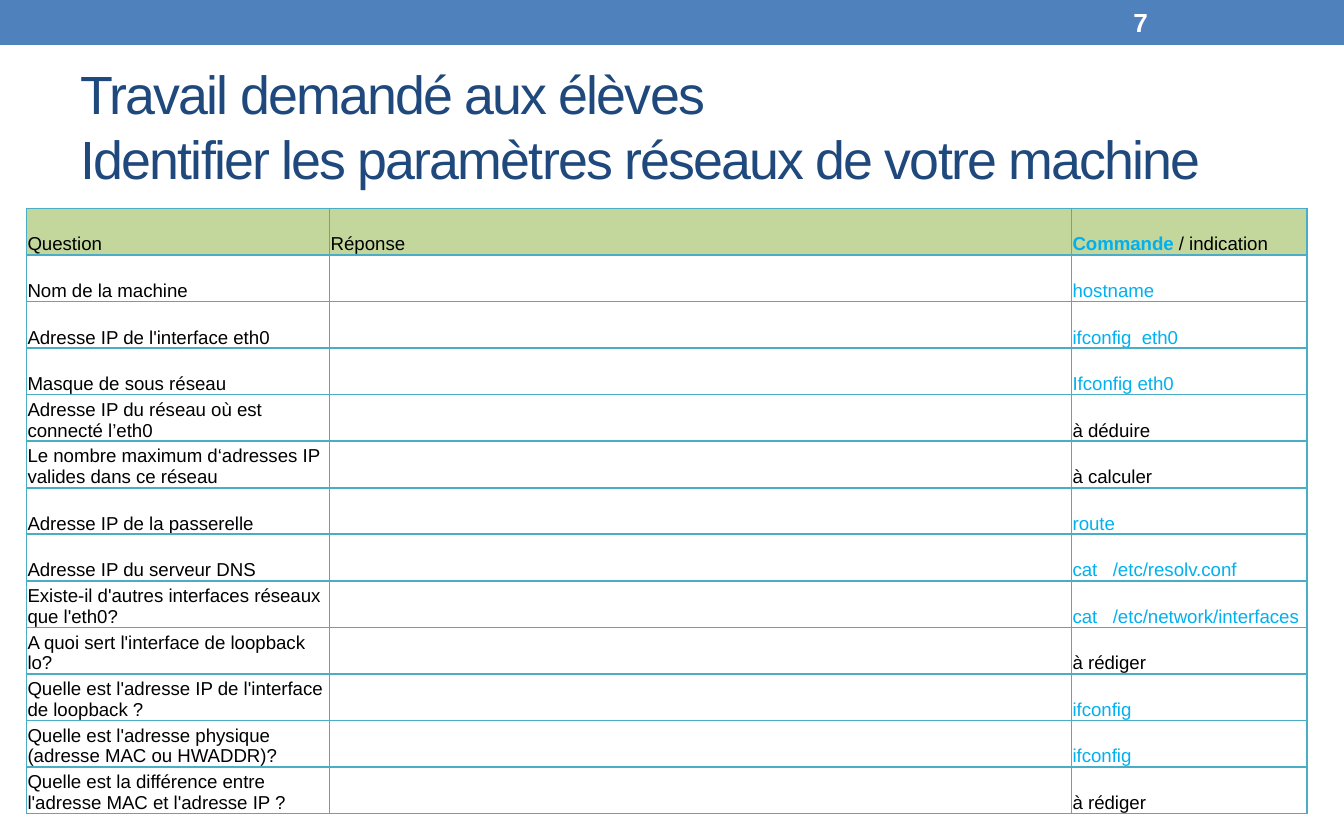
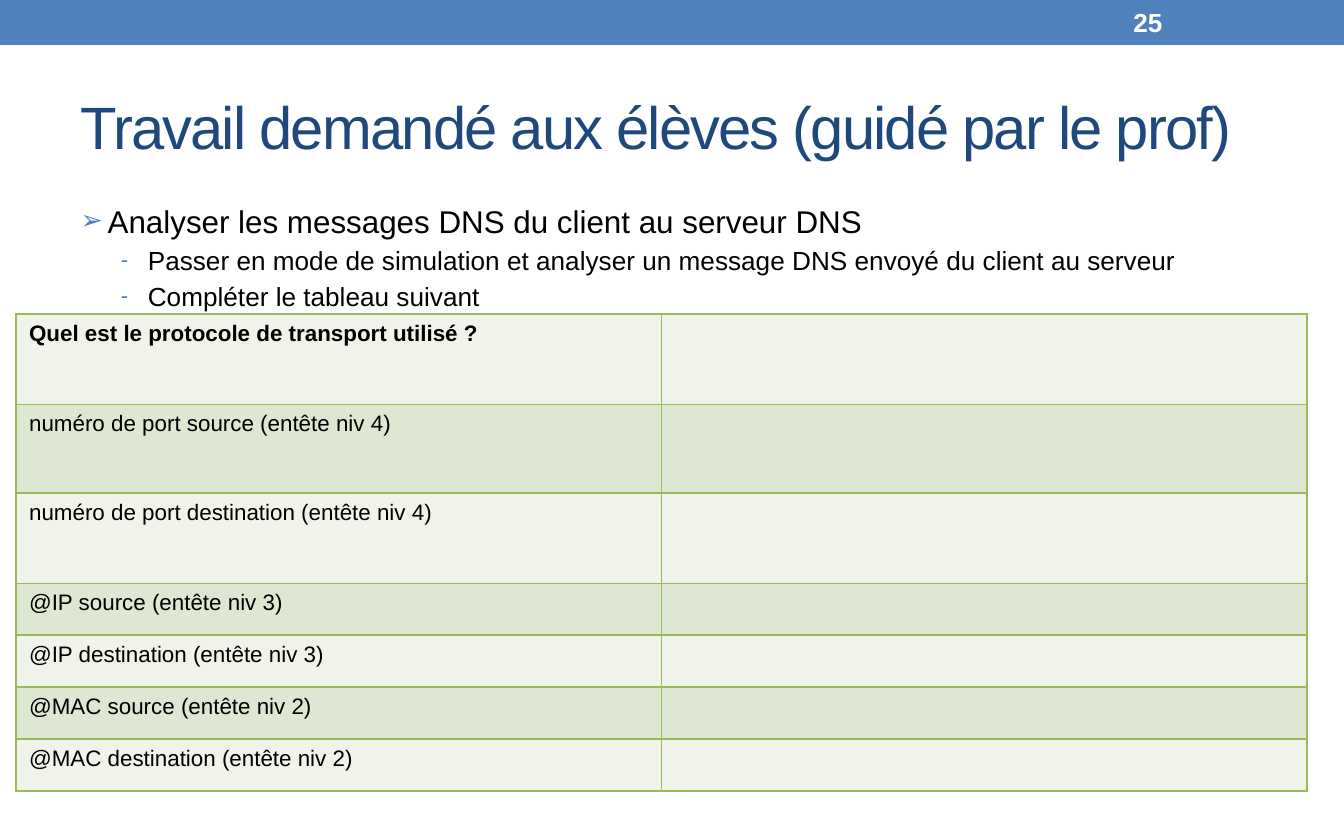
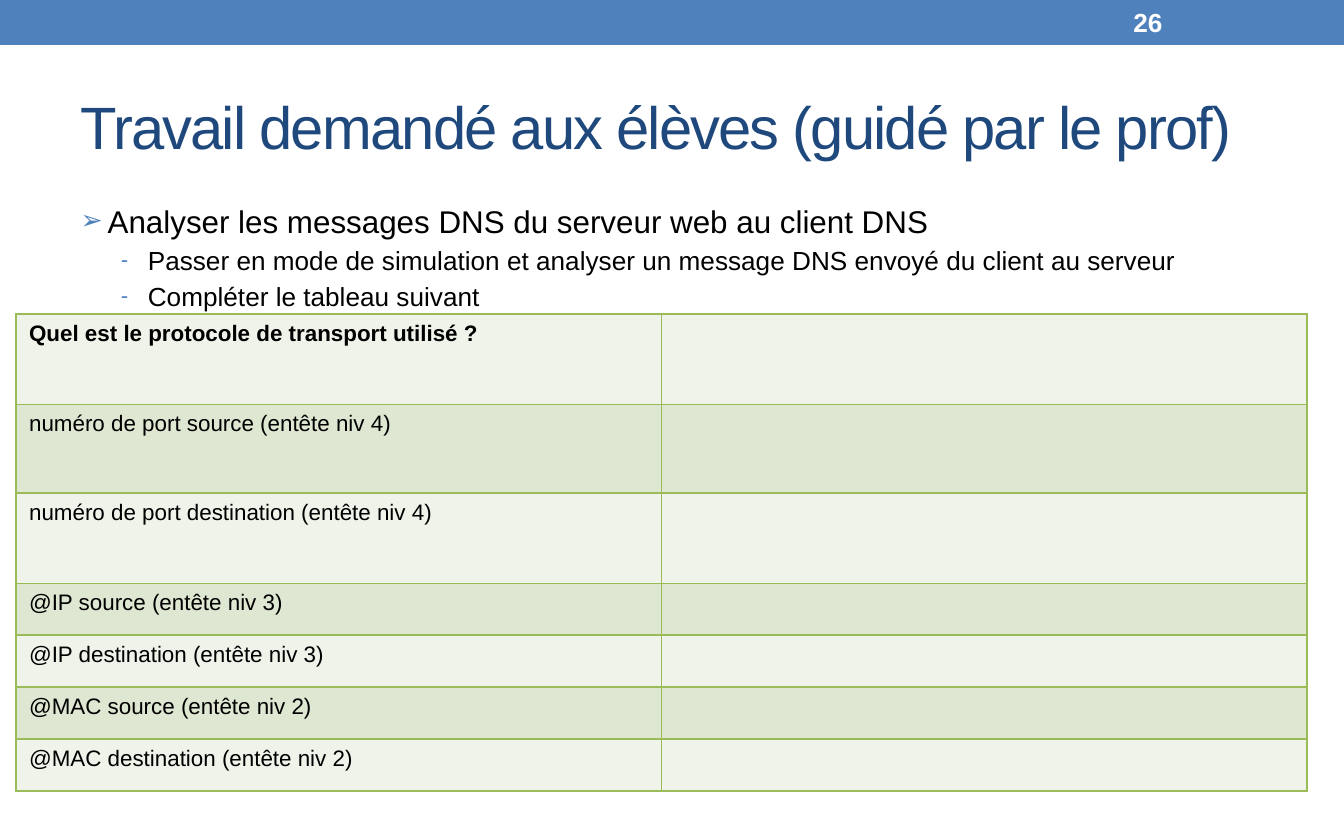
from copy import deepcopy

from pptx import Presentation
from pptx.dml.color import RGBColor as Rgb
from pptx.enum.shapes import MSO_SHAPE as Shape
from pptx.enum.text import MSO_ANCHOR as Anchor, MSO_AUTO_SIZE as AutoSize, PP_ALIGN as Align
from pptx.oxml.ns import qn
from pptx.util import Cm, Pt
from lxml.etree import SubElement

COLORS = {
    "band": "4F81BD",
    "title": "1F497D",
    "text": "000000",
    "white": "FFFFFF",
    "command": "00B0F0",
    "header": "C3D69B",
    "blue_border": "4BACC6",
    "green_border": "9BBB59",
    "light_row": "EFF3EA",
    "dark_row": "DEE7D1",
}
FONT = "Arial"


def write(para, text, size, color="text", bold=False, spacing=None):
    """Append formatted text to a paragraph; a newline becomes a line break."""
    for number, line in enumerate(text.split("\n")):
        if number:
            para.add_line_break()
            para._p.findall(qn("a:br"))[-1].append(deepcopy(span._r.rPr))
        span = para.add_run()
        span.text = line
        span.font.name = FONT
        span.font.size = Pt(size)
        span.font.bold = bold
        span.font.color.rgb = Rgb.from_string(COLORS[color])
        if spacing is not None:
            span._r.get_or_add_rPr().set("spc", str(spacing * 100))


def add_grid(slide, left, top, widths, heights, border, fills, margins, anchor):
    """Add a bordered table; fills names one colour per row, None for no fill."""
    table = slide.shapes.add_table(
        len(heights), len(widths), Cm(left), Cm(top), Cm(sum(widths)), Cm(sum(heights))
    ).table
    table.first_row = table.horz_banding = False
    for column, width in zip(table.columns, widths):
        column.width = Cm(width)
    for row, height, fill in zip(table.rows, heights, fills):
        row.height = Cm(height)
        for cell in row.cells:
            cell.margin_left, cell.margin_top, cell.margin_right, cell.margin_bottom = map(Cm, margins)
            cell.vertical_anchor = anchor
            properties = cell._tc.get_or_add_tcPr()
            for side in ("lnL", "lnR", "lnT", "lnB"):
                line = SubElement(properties, qn(f"a:{side}"), w=str(Pt(1)))
                SubElement(SubElement(line, qn("a:solidFill")), qn("a:srgbClr"), val=COLORS[border])
            if fill:
                cell.fill.solid()
                cell.fill.fore_color.rgb = Rgb.from_string(COLORS[fill])
            else:
                cell.fill.background()
    return table


deck = Presentation()
deck.slide_width, deck.slide_height = Cm(25.4), Cm(15.88)
CONTENT_LAYOUT, TITLE_LAYOUT = deck.slide_layouts[1], deck.slide_layouts[5]

GUIDED_TITLE = "Travail demandé aux élèves (guidé par le prof)"
pages = [
    (7, TITLE_LAYOUT, 28.8,
     "Travail demandé aux élèves\nIdentifier les paramètres réseaux de votre machine", None),
    (25, CONTENT_LAYOUT, 32, GUIDED_TITLE, "Analyser les messages DNS du client au serveur DNS"),
    (26, CONTENT_LAYOUT, 32, GUIDED_TITLE, "Analyser les messages DNS du serveur web au client DNS"),
]
steps = [
    "Passer en mode de simulation et analyser un message DNS envoyé du client au serveur",
    "Compléter le tableau suivant",
]

# Question, hint, and whether the hint is a command to type
network_questions = [
    ("Nom de la machine", "hostname", True),
    ("Adresse IP de l'interface eth0", "ifconfig  eth0", True),
    ("Masque de sous réseau", "Ifconfig eth0", True),
    ("Adresse IP du réseau où est connecté l’eth0", "à déduire", False),
    ("Le nombre maximum d‘adresses IP valides dans ce réseau", "à calculer", False),
    ("Adresse IP de la passerelle", "route", True),
    ("Adresse IP du serveur DNS", "cat   /etc/resolv.conf", True),
    ("Existe-il d'autres interfaces réseaux que l'eth0?", "cat   /etc/network/interfaces", True),
    ("A quoi sert l'interface de loopback lo?", "à rédiger", False),
    ("Quelle est l'adresse IP de l'interface de loopback ?", "ifconfig", True),
    ("Quelle est l'adresse physique (adresse MAC ou HWADDR)?", "ifconfig", True),
    ("Quelle est la différence entre l'adresse MAC et l'adresse IP ?", "à rédiger", False),
]

# Question and row height in centimetres
message_questions = [
    ("Quel est le protocole de transport utilisé ?", 1.71),
    ("numéro de port source (entête niv 4)", 1.67),
    ("numéro de port destination (entête niv 4)", 1.71),
    ("@IP source (entête niv 3)", 0.98),
    ("@IP destination (entête niv 3)", 0.98),
    ("@MAC source (entête niv 2)", 0.98),
    ("@MAC destination (entête niv 2)", 0.98),
]

for page_number, layout, title_size, title_text, goal in pages:
    page = deck.slides.add_slide(layout)

    band = page.shapes.add_shape(Shape.RECTANGLE, 0, 0, deck.slide_width, Cm(0.85))
    band.shadow.inherit = False
    band.fill.solid()
    band.fill.fore_color.rgb = Rgb.from_string(COLORS["band"])
    band.line.fill.background()

    title = page.shapes.title
    title.left, title.top, title.width, title.height = Cm(1.27), Cm(1.23), Cm(22.86), Cm(2.29)
    title.text_frame.auto_size = AutoSize.NONE
    title.text_frame.vertical_anchor = Anchor.MIDDLE
    para = title.text_frame.paragraphs[0]
    para.alignment = Align.LEFT
    write(para, title_text, title_size, color="title", spacing=-1)

    number_box = page.shapes.add_textbox(Cm(21.17), Cm(0.04), Cm(2.96), Cm(0.76))
    number_box.text_frame.word_wrap = True
    number_box.text_frame.vertical_anchor = Anchor.MIDDLE
    write(number_box.text_frame.paragraphs[0], str(page_number), 14, color="white", bold=True)

    if goal is None:
        table = add_grid(
            page, 0.5, 3.94, [5.73, 14.02, 4.45], [0.88] * (len(network_questions) + 1),
            "blue_border", ["header"] + [None] * len(network_questions),
            (0.02, 0.02, 0.02, 0), Anchor.BOTTOM,
        )
        write(table.cell(0, 0).text_frame.paragraphs[0], "Question", 10)
        write(table.cell(0, 1).text_frame.paragraphs[0], "Réponse", 10)
        para = table.cell(0, 2).text_frame.paragraphs[0]
        write(para, "Commande", 10, color="command", bold=True)
        write(para, " / indication", 10)
        for row, (question, hint, is_command) in enumerate(network_questions, 1):
            write(table.cell(row, 0).text_frame.paragraphs[0], question, 10)
            write(table.cell(row, 2).text_frame.paragraphs[0], hint, 10,
                  color="command" if is_command else "text")
        continue

    body = page.placeholders[1]
    body.left, body.top, body.width, body.height = Cm(1.27), Cm(3.69), Cm(22.86), Cm(2.24)
    body.text_frame.auto_size = AutoSize.NONE
    for index, text in enumerate([goal, *steps]):
        para = body.text_frame.paragraphs[0] if index == 0 else body.text_frame.add_paragraph()
        level, indent, bullet, size = (1, 1.27, "-", 14) if index else (0, 0.51, "➢", 16.8)
        para.level = level
        para.space_before = Pt(2.6)
        write(para, text, size)
        properties = para._p.get_or_add_pPr()
        properties.set("marL", str(Cm(indent)))
        properties.set("indent", str(Cm(-0.51)))
        SubElement(SubElement(properties, qn("a:buClr")), qn("a:srgbClr"), val=COLORS["band"])
        SubElement(properties, qn("a:buSzPct"), val="85000")
        SubElement(properties, qn("a:buFont"), typeface=FONT)
        SubElement(properties, qn("a:buChar"), char=bullet)

    row_fills = ["dark_row" if row % 2 else "light_row" for row in range(len(message_questions))]
    table = add_grid(
        page, 0.3, 5.94, [12.2, 12.2], [height for _, height in message_questions],
        "green_border", row_fills, (0.25, 0.13, 0.25, 0.05), Anchor.TOP,
    )
    for row, (question, _) in enumerate(message_questions):
        write(table.cell(row, 0).text_frame.paragraphs[0], question, 12, bold=row == 0)

deck.save("out.pptx")
